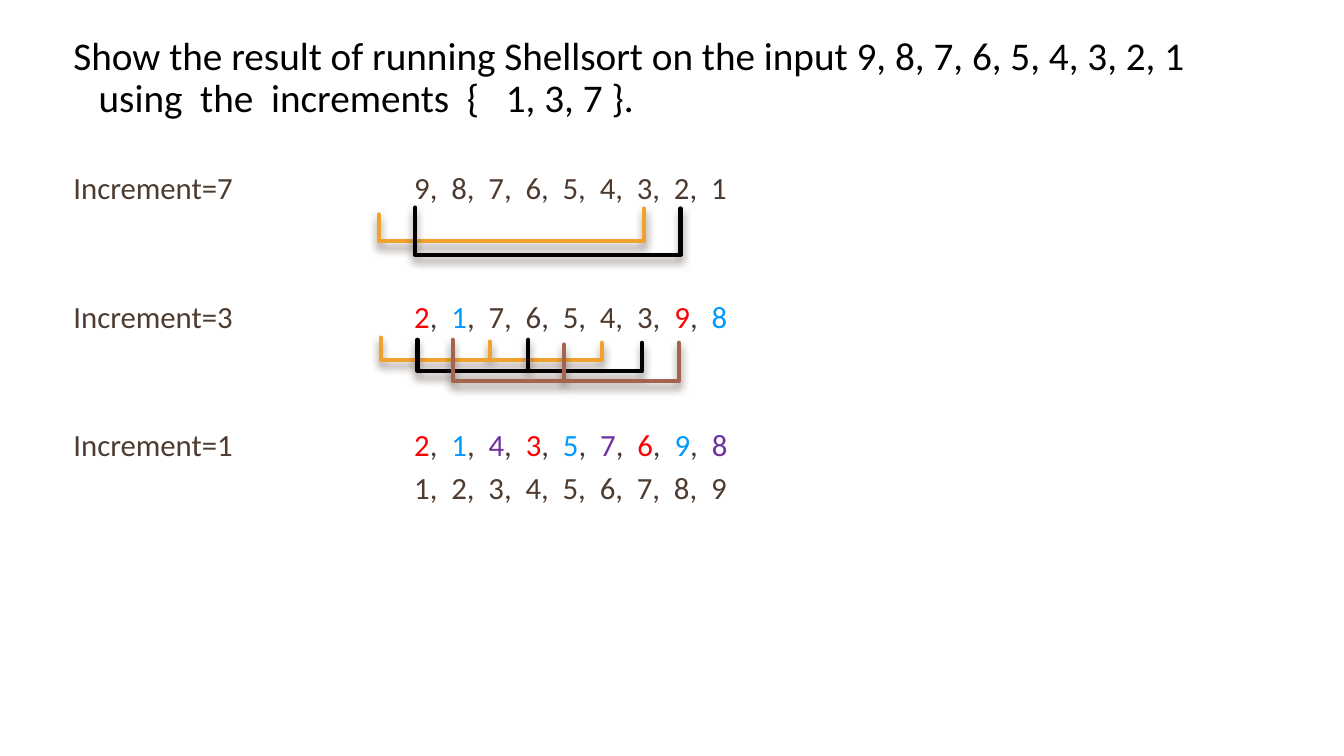
from dataclasses import dataclass
from typing import Any

from lxml import etree
from pptx import Presentation
from pptx import util as u
from pptx.dml.color import RGBColor
from pptx.enum import text
from pptx.oxml.ns import qn

WIDTH, HEIGHT = 13.33, 7.5
COLUMN, ROW = 0.37, 0.43  # pitch of the digits and of the text lines
FIRST_COLUMN = 3.76  # column 0 lies one digit before the sequence


@dataclass(frozen=True)
class Theme:
    """Colours, font and sizes of the slide."""
    font: str = "Calibri"
    question_size: int = 28
    step_size: int = 22
    line_width: int = 3
    black: str = "000000"
    brown: str = "4E3B30"
    red: str = "FF0000"
    blue: str = "0099FF"
    purple: str = "7030A0"
    orange: str = "F0A22E"
    rust: str = "A5644E"


@dataclass(frozen=True)
class Step:
    """One line of the sort; colours has a letter per digit, '.' is plain."""
    label: str
    digits: str
    colours: str
    space_before: float


@dataclass(frozen=True)
class Bracket:
    """Compared digits: teeth as (column, top row), joined at a base row."""
    colour: str
    base: float
    teeth: tuple[tuple[float, float], ...]


THEME = Theme()
DIGIT_COLOURS = {".": THEME.brown, "r": THEME.red,
                 "b": THEME.blue, "p": THEME.purple}
QUESTION = ("Show the result of running Shellsort on the input "
            "9, 8, 7, 6, 5, 4, 3, 2, 1 using  the  increments  {   1, 3, 7 }.")
STEPS = (
    Step("Increment=7", "987654321", ".........", 34.5),
    Step("Increment=3", "217654398", "rb.....rb", 65.3),
    Step("Increment=1", "214357698", "rbprbprbp", 65.3),
    Step("", "123456789", ".........", 4),
)
BRACKETS = (
    Bracket(THEME.orange, 5.56, ((0, 4.95), (7.11, 4.81))),
    Bracket(THEME.black, 5.88, ((0.97, 4.79), (8.08, 4.81))),
    Bracket(THEME.orange, 8.3, ((0.05, 7.79), (2.97, 7.88), (5.97, 7.91))),
    Bracket(THEME.black, 8.56, ((1.03, 7.84), (4, 7.84), (7.05, 7.91))),
    Bracket(THEME.rust, 8.79, ((1.97, 7.84), (4.95, 7.95), (8.03, 7.91))),
)


def set_all(target: Any, values: dict[str, Any]) -> None:
    """Set every named attribute of the target."""
    for name, value in values.items():
        setattr(target, name, value)


def add_run(paragraph: Any, words: str, size: int, colour: str) -> None:
    """Append a coloured run."""
    run = paragraph.add_run()
    run.text = words
    set_all(run.font, {"name": THEME.font, "size": u.Pt(size)})
    run.font.color.rgb = RGBColor.from_string(colour)


def add_question(paragraph: Any) -> None:
    """Write the exercise with a hanging indent."""
    paragraph.line_spacing = 0.9
    properties = paragraph._p.get_or_add_pPr()
    properties.set("marL", str(u.Inches(0.25)))
    properties.set("indent", str(u.Inches(-0.25)))
    add_run(paragraph, QUESTION, THEME.question_size, THEME.black)


def add_step(paragraph: Any, step: Step) -> None:
    """Write a label and, at a tab stop, its digits."""
    set_all(paragraph, {"space_before": u.Pt(step.space_before),
                        "line_spacing": 1.0})
    tabs = etree.SubElement(paragraph._p.get_or_add_pPr(), qn("a:tabLst"))
    etree.SubElement(tabs, qn("a:tab"), pos=str(u.Inches(3.38)), algn="l")
    add_run(paragraph, step.label + "\t", THEME.step_size, THEME.brown)
    for index, (digit, key) in enumerate(zip(step.digits, step.colours)):
        if index:
            add_run(paragraph, ",  ", THEME.step_size, THEME.brown)
        add_run(paragraph, digit, THEME.step_size, DIGIT_COLOURS[key])


def add_body(slide: Any) -> None:
    """Add the text of the whole slide."""
    box = slide.shapes.add_textbox(*map(u.Inches, (0.63, 0.31, 11.79, 6.44)))
    frame = box.text_frame
    set_all(frame, {"word_wrap": True, "auto_size": text.MSO_AUTO_SIZE.NONE,
                    "vertical_anchor": text.MSO_ANCHOR.TOP})
    add_question(frame.paragraphs[0])
    for step in STEPS:
        add_step(frame.add_paragraph(), step)


def grid_point(column: float, row: float) -> tuple[int, int]:
    """Turn a grid place into slide units."""
    return u.Inches(FIRST_COLUMN + column * COLUMN), u.Inches(row * ROW)


def add_shadow(shape: Any) -> None:
    """Give the shape a soft shadow straight below it."""
    shape.shadow.inherit = False
    effects = shape.element.spPr.find(qn("a:effectLst"))
    shadow = etree.SubElement(
        effects, qn("a:outerShdw"), blurRad=str(u.Pt(6)), dist=str(u.Pt(4)),
        dir="5400000", rotWithShape="0")
    colour = etree.SubElement(shadow, qn("a:srgbClr"), val=THEME.brown)
    etree.SubElement(colour, qn("a:alpha"), val="60000")


def add_bracket(slide: Any, bracket: Bracket) -> None:
    """Draw the base line with its teeth as one open outline."""
    points = []
    for column, top in bracket.teeth:
        foot = grid_point(column, bracket.base)
        points += [foot, grid_point(column, top), foot]
    outline = points[1:-1]  # starts and ends at the outer tooth tops
    builder = slide.shapes.build_freeform(*outline[0], scale=1.0)
    builder.add_line_segments(outline[1:], close=False)
    shape = builder.convert_to_shape()
    shape.fill.background()
    shape.line.color.rgb = RGBColor.from_string(bracket.colour)
    shape.line.width = u.Pt(THEME.line_width)
    line = shape.element.spPr.find(qn("a:ln"))
    line.set("cap", "rnd")
    etree.SubElement(line, qn("a:round"))
    add_shadow(shape)


def main() -> None:
    """Build and save the slide."""
    presentation = Presentation()
    set_all(presentation, {"slide_width": u.Inches(WIDTH),
                           "slide_height": u.Inches(HEIGHT)})
    slide = presentation.slides.add_slide(presentation.slide_layouts[6])
    add_body(slide)
    for bracket in BRACKETS:
        add_bracket(slide, bracket)
    presentation.save("out.pptx")


main()
